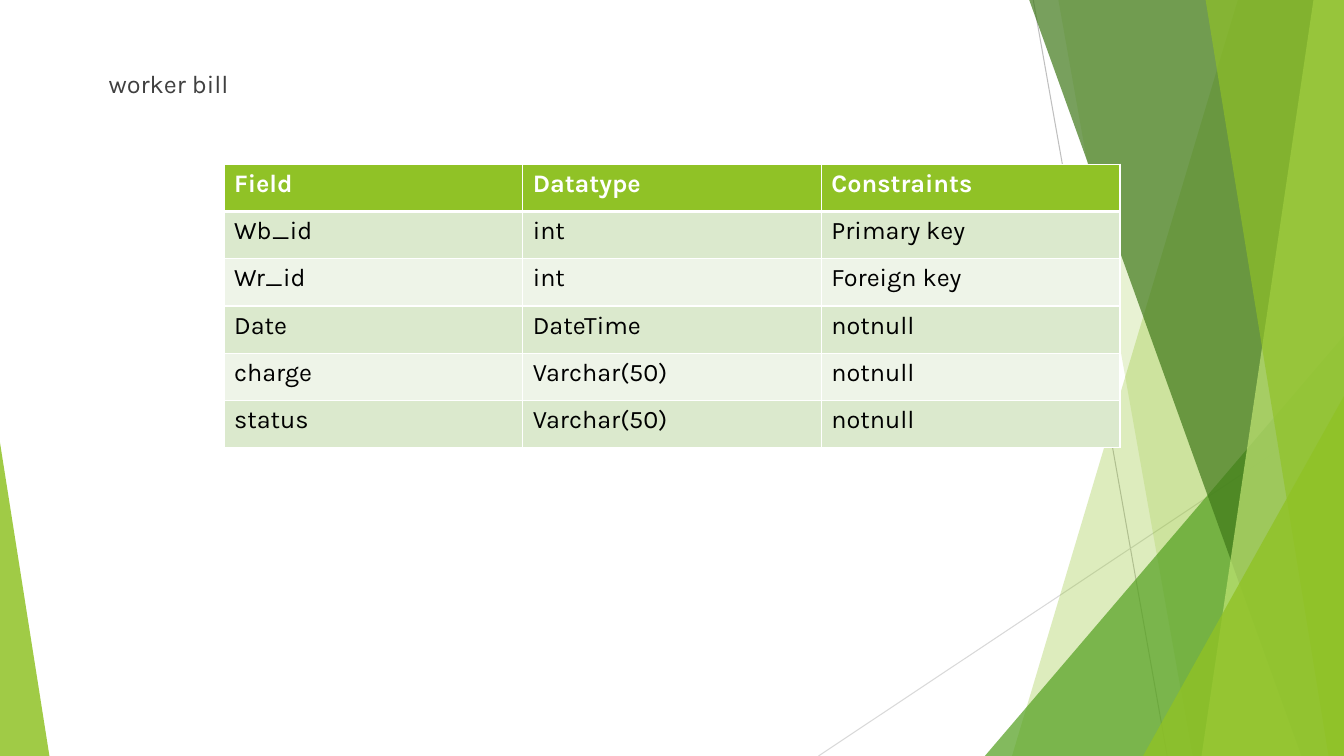
from lxml.etree import SubElement
from pptx import Presentation
from pptx.dml.color import RGBColor
from pptx.enum.shapes import MSO_CONNECTOR, MSO_SHAPE
from pptx.oxml import parse_xml
from pptx.oxml.ns import nsdecls, qn
from pptx.util import Inches, Pt

WIDE, HIGH = Inches(13.33), Inches(7.5)
HUES = {
    "lime": "90C226", "leaf": "54A021", "pine": "3F7819", "pale": "C0E474",
    "grey": "BFBFBF", "mist": "D9D9D9", "ink": "404040", "black": "000000",
    "white": "FFFFFF", "band": "DBE9CD", "soft": "EEF4E8",
}
ROWS = [
    ("Field ", "Datatype ", "Constraints "),
    ("Wb_id", "int", "Primary key"),
    ("Wr_id", "int", "Foreign key"),
    ("Date ", "DateTime", "notnull"),
    ("charge", "Varchar(50)", "notnull"),
    ("status", "Varchar(50)", "notnull"),
]
RAYS = [
    (76.88, 0, 86.85, 100, "grey"),
    (100, 53.73, 60.9, 100, "mist"),
]
BACK = [
    (92.1, 75.3, "lime", 30),
    (78.75, 88.73, "lime", 20),
]
FRONT = [
    (76.58, 96.83, "pine", 70),
    (97.73, 89.4, "pale", 70),
    (89.7, 98.85, "lime", 65),
]


def across(share):
    return round(WIDE * share / 100)


def down(share):
    return round(HIGH * share / 100)


def hue(name):
    return RGBColor.from_string(HUES[name])


def style(font, color, **extra):
    form = {"name": "Karla", "size": Pt(18), "bold": False, **extra}
    for key, value in form.items():
        setattr(font, key, value)
    font.color.rgb = hue(color)


def tint(shape, color, alpha):
    shape.shadow.inherit = False
    shape.fill.solid()
    shape.fill.fore_color.rgb = hue(color)
    for node in shape.element.spPr.iter(qn("a:srgbClr")):
        SubElement(node, qn("a:alpha")).set("val", str(alpha * 1000))
    shape.line.fill.background()


def ray(slide, left, top, right, base, color):
    line = slide.shapes.add_connector(
        MSO_CONNECTOR.STRAIGHT, across(left), down(top), across(right), down(base))
    line.line.width = Pt(0.75)
    line.line.color.rgb = hue(color)
    SubElement(line.element.spPr, qn("a:effectLst"))


def wedge(slide, top, base, color, alpha):
    pen = slide.shapes.build_freeform(across(top), 0)
    pen.add_line_segments([(WIDE, 0), (WIDE, HIGH), (across(base), HIGH)], close=True)
    tint(pen.convert_to_shape(), color, alpha)


def peak(slide, left, top, width, tip, color, alpha):
    shape = slide.shapes.add_shape(
        MSO_SHAPE.ISOSCELES_TRIANGLE,
        across(left), down(top), across(width), down(100 - top))
    shape.adjustments[0] = tip
    tint(shape, color, alpha)


def label(slide, text):
    box = slide.shapes.add_textbox(across(6.9), down(8.4), across(86.25), down(81.73))
    box.text_frame.word_wrap = True
    para = box.text_frame.paragraphs[0]
    para.space_before = Pt(10)
    run = para.add_run()
    run.text = text
    style(run.font, "ink")


def edge(cell, row):
    sizes = {"L": 1, "R": 1, "T": 3 if row == 1 else 1, "B": 3 if row == 0 else 1}
    props = cell._tc.get_or_add_tcPr()
    for spot, (side, size) in enumerate(sizes.items()):
        props.insert(spot, parse_xml(
            f'<a:ln{side} {nsdecls("a")} w="{Pt(size)}"><a:solidFill>'
            f'<a:srgbClr val="{HUES["white"]}"/></a:solidFill></a:ln{side}>'))


def grid(slide, rows):
    table = slide.shapes.add_table(
        len(rows), len(rows[0]),
        across(16.67), down(21.73), across(66.67), down(37.5)).table
    for row, texts in enumerate(rows):
        head = row == 0
        fill = "lime" if head else ("soft", "band")[row % 2]
        for col, text in enumerate(texts):
            cell = table.cell(row, col)
            cell.fill.solid()
            cell.fill.fore_color.rgb = hue(fill)
            edge(cell, row)
            run = cell.text_frame.paragraphs[0].add_run()
            run.text = text
            style(run.font, "white" if head else "black", bold=head)


def main():
    deck = Presentation()
    deck.slide_width, deck.slide_height = WIDE, HIGH
    slide = deck.slides.add_slide(deck.slide_layouts[6])
    for item in RAYS:
        ray(slide, *item)
    for item in BACK:
        wedge(slide, *item)
    peak(slide, 73.28, 44.4, 26.72, 1, "leaf", 72)
    for item in FRONT:
        wedge(slide, *item)
    peak(slide, 85.05, 52.4, 14.95, 1, "lime", 80)
    peak(slide, 0, 58.53, 3.68, 0, "lime", 85)
    label(slide, " worker bill")
    grid(slide, ROWS)
    deck.save("out.pptx")


main()
